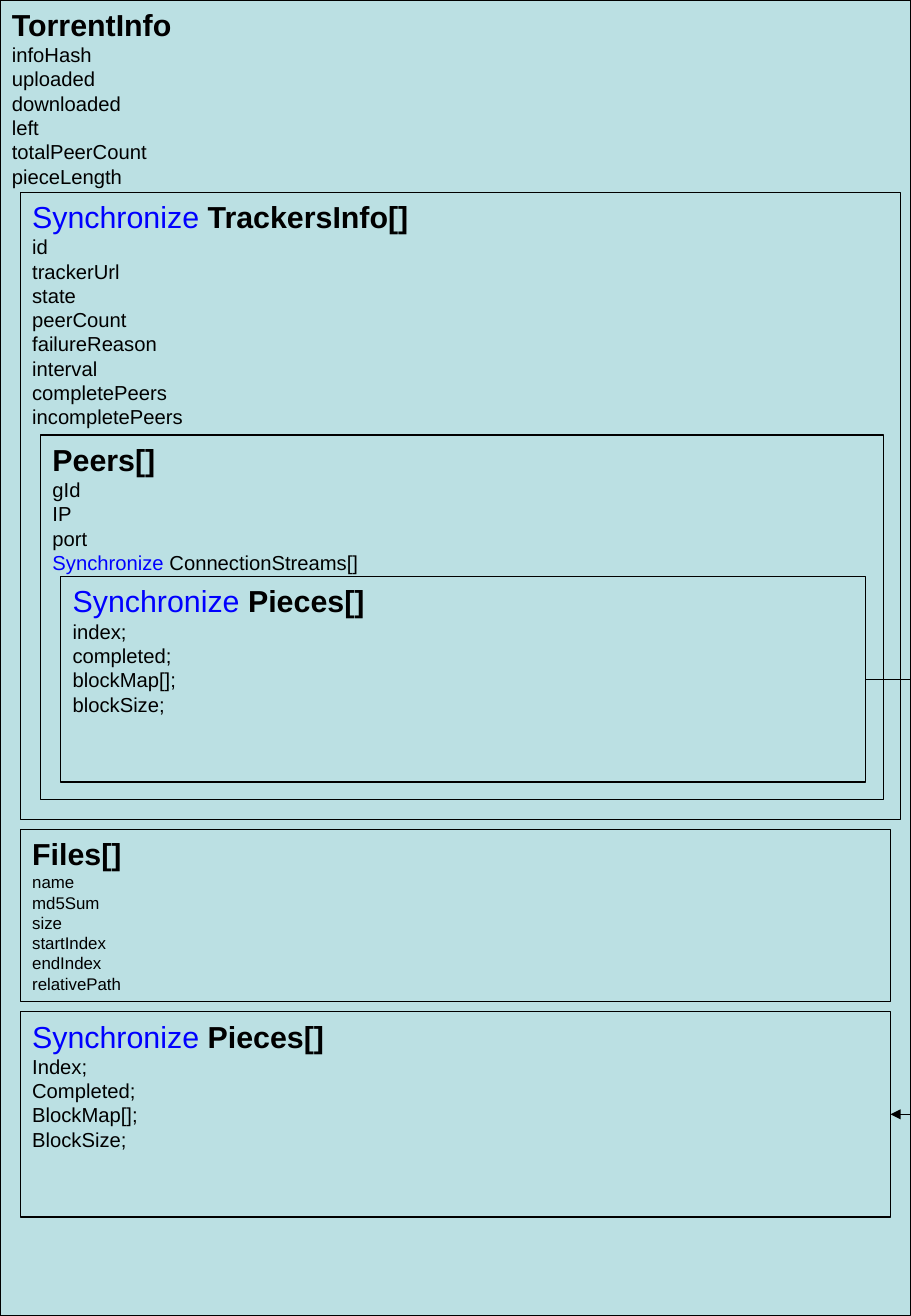
from lxml import etree
from pptx import Presentation, util as u
from pptx.dml.color import RGBColor
from pptx.enum import shapes, text
from pptx.oxml.ns import qn

PX = 1587.5
PAGE = (4321, 6244)
TEAL = RGBColor(0xBB, 0xE0, 0xE3)
BLACK = RGBColor(0, 0, 0)
BLUE = RGBColor(0, 0, 255)
FONT = "Arial"
KEYWORD = "Synchronize"
TITLE_SIZE = 18
LINE_WIDTH = 0.75
ELBOW_REACH = 1110

STRUCTURES = [
    ((0, 0, 4320, 6240), "TorrentInfo", 12,
     ["infoHash", "uploaded", "downloaded", "left", "totalPeerCount", "pieceLength"]),
    ((96, 912, 4176, 2976), "Synchronize TrackersInfo[]", 12,
     ["id", "trackerUrl", "state", "peerCount", "failureReason", "interval",
      "completePeers", "incompletePeers"]),
    ((192, 2064, 4000, 1728), "Peers[]", 12,
     ["gId", "IP", "port", "Synchronize ConnectionStreams[]"]),
    ((288, 2736, 3816, 974), "Synchronize Pieces[]", 12,
     ["index;", "completed;", "blockMap[];", "blockSize;"]),
    ((96, 3936, 4128, 816), "Files[]", 10,
     ["name", "md5Sum", "size", "startIndex", "endIndex", "relativePath"]),
    ((96, 4800, 4128, 974), "Synchronize Pieces[]", 12,
     ["Index;", "Completed;", "BlockMap[];", "BlockSize;"]),
]
PEER_PIECES, TORRENT_PIECES = 3, 5
RIGHT_SIDE = 3


def emu(lengths):
    return [u.Emu(round(length * PX)) for length in lengths]


def add_run(paragraph, words, size, color, bold):
    run = paragraph.add_run()
    run.text = words
    run.font.name = FONT
    run.font.size = u.Pt(size)
    run.font.bold = bold
    run.font.color.rgb = color


def add_entry(paragraph, entry, size, bold):
    paragraph.alignment = text.PP_ALIGN.LEFT
    before, keyword, name = entry.rpartition(KEYWORD)
    if keyword:
        add_run(paragraph, keyword, size, BLUE, False)
    add_run(paragraph, name, size, BLACK, bold)


def add_structure(slide, bounds, title, field_size, fields):
    box = slide.shapes.add_shape(shapes.MSO_SHAPE.RECTANGLE, *emu(bounds))
    box.shadow.inherit = False
    box.fill.solid()
    box.fill.fore_color.rgb = TEAL
    box.line.color.rgb = BLACK
    box.line.width = u.Pt(LINE_WIDTH)
    frame = box.text_frame
    frame.word_wrap = True
    frame.vertical_anchor = text.MSO_ANCHOR.TOP
    add_entry(frame.paragraphs[0], title, TITLE_SIZE, True)
    for field in fields:
        add_entry(frame.add_paragraph(), field, field_size, False)
    return box


def add_pieces_link(slide, source, target):
    link = slide.shapes.add_connector(shapes.MSO_CONNECTOR.ELBOW, 0, 0, 0, 0)
    link.begin_connect(source, RIGHT_SIDE)
    link.end_connect(target, RIGHT_SIDE)
    link.line.color.rgb = BLACK
    link.line.width = u.Pt(LINE_WIDTH)
    properties = link._element.spPr
    etree.SubElement(link.line._get_or_add_ln(), qn("a:tailEnd"), type="triangle")
    etree.SubElement(properties, qn("a:effectLst"))
    bend = round(ELBOW_REACH * PX / link.width * 100000)
    guides = properties.find(qn("a:prstGeom")).find(qn("a:avLst"))
    etree.SubElement(guides, qn("a:gd"), name="adj1", fmla=f"val {bend}")


def main():
    deck = Presentation()
    deck.slide_width, deck.slide_height = emu(PAGE)
    slide = deck.slides.add_slide(deck.slide_layouts[6])
    boxes = [add_structure(slide, *structure) for structure in STRUCTURES]
    add_pieces_link(slide, boxes[PEER_PIECES], boxes[TORRENT_PIECES])
    deck.save("out.pptx")


if __name__ == "__main__":
    main()
